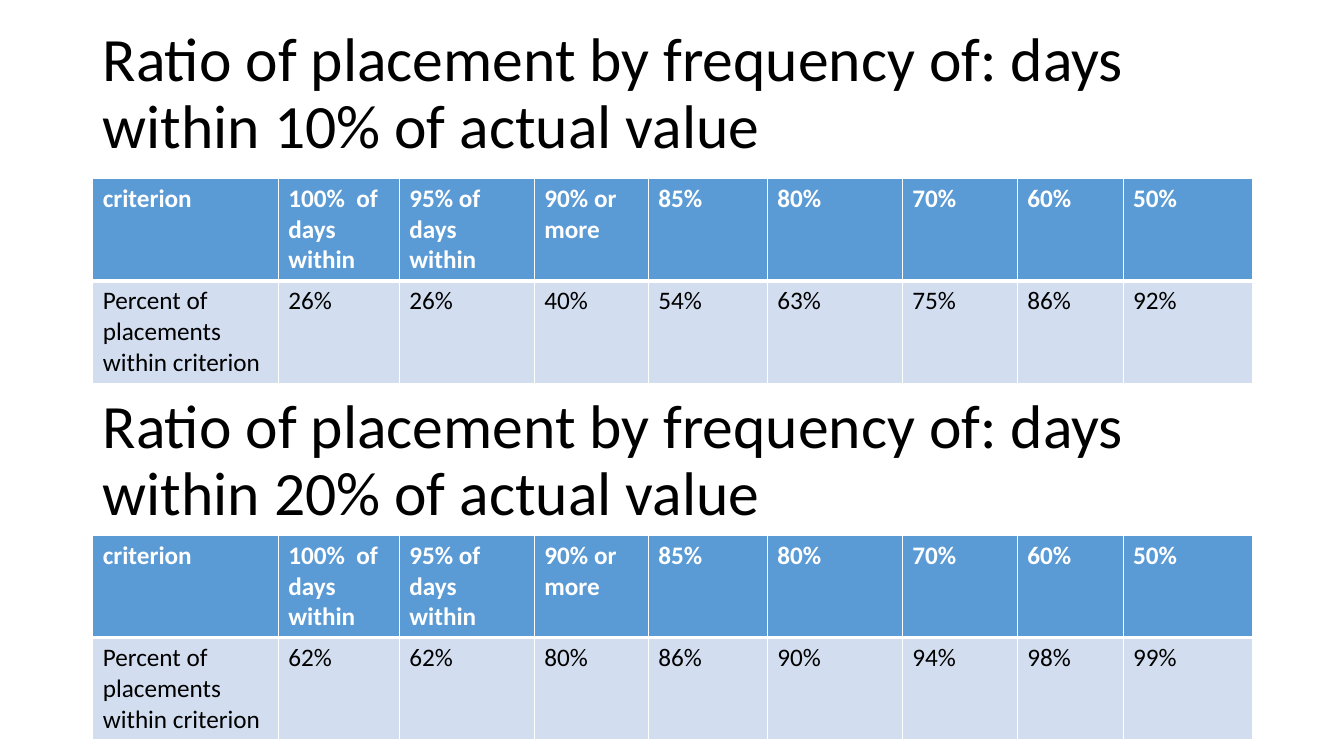
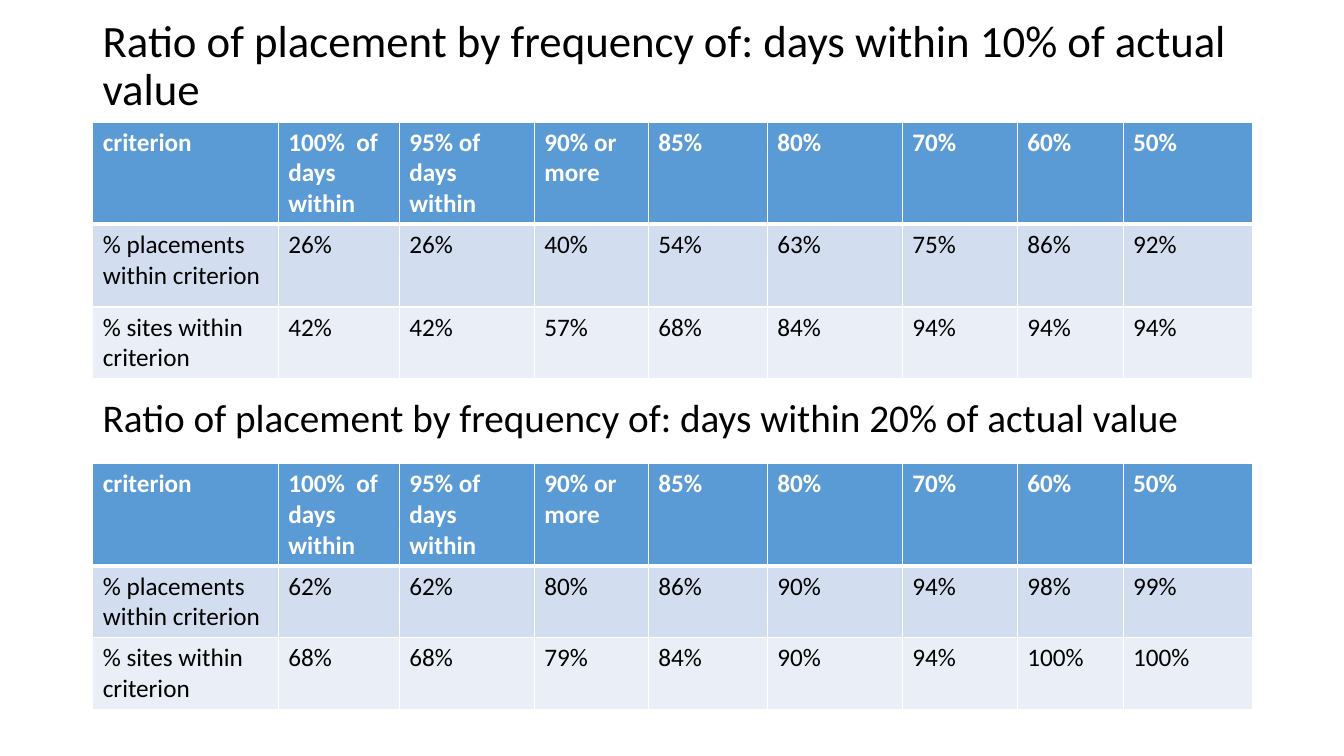
from dataclasses import dataclass

from lxml.etree import SubElement
from pptx import Presentation
from pptx.dml.color import RGBColor
from pptx.enum.text import MSO_ANCHOR as Anchor, MSO_AUTO_SIZE as AutoSize
from pptx.oxml.ns import qn
from pptx.util import Inches, Pt


@dataclass(frozen=True)
class Theme:
    font: str = "Calibri"
    ink: str = "000000"
    white: str = "FFFFFF"
    header: str = "5B9BD5"
    bands: tuple = ("D2DEEF", "EAEFF7")
    title_size: int = 44
    compact_title_size: int = 32
    small_title_size: int = 28
    cell_size: int = 18
    rule: int = 1
    header_rule: int = 3


THEME = Theme()
LEFT, WIDTH = 0.92, 11.5
COLUMN_WIDTHS = (1.84, 1.2, 1.34, 1.13, 1.18, 1.34, 1.14, 1.05, 1.28)
CRITERIA = ("criterion", "100%  of days within", "95% of days within", "90% or more",
            "85%", "80%", "70%", "60%", "50%")
PLACEMENTS = {10: (26, 26, 40, 54, 63, 75, 86, 92),
              20: (62, 62, 80, 86, 90, 94, 98, 99)}
SITES = {10: (42, 42, 57, 68, 84, 94, 94, 94),
         20: (68, 68, 79, 84, 90, 94, 100, 100)}


def write(frame, text, size=THEME.cell_size, color=THEME.ink, bold=False, spacing=None):
    paragraph = frame.paragraphs[0]
    paragraph.line_spacing = spacing
    run = paragraph.add_run()
    run.text = text
    run.font.name = THEME.font
    run.font.size = Pt(size)
    run.font.bold = bold
    run.font.color.rgb = RGBColor.from_string(color)


def add_title(slide, tolerance, top, height, size):
    box = slide.shapes.add_textbox(Inches(LEFT), Inches(top), Inches(WIDTH), Inches(height))
    frame = box.text_frame
    frame.word_wrap = True
    frame.auto_size = AutoSize.NONE
    frame.vertical_anchor = Anchor.MIDDLE
    write(frame, f"Ratio of placement by frequency of: days within {tolerance}% of actual value",
          size=size, spacing=0.9)


def set_borders(cell, top, bottom):
    properties = cell._tc.get_or_add_tcPr()
    for side, width in (("L", THEME.rule), ("R", THEME.rule), ("T", top), ("B", bottom)):
        line = SubElement(properties, qn(f"a:ln{side}"), w=str(Pt(width)))
        fill = SubElement(line, qn("a:solidFill"))
        SubElement(fill, qn("a:srgbClr"), val=THEME.white)


def add_ratio_table(slide, top, row_heights, series):
    rows = [CRITERIA] + [(label, *(f"{value}%" for value in values)) for label, values in series]
    table = slide.shapes.add_table(len(rows), len(CRITERIA), Inches(LEFT), Inches(top),
                                   Inches(WIDTH), Inches(sum(row_heights))).table
    table.horz_banding = False
    for column, width in zip(table.columns, COLUMN_WIDTHS):
        column.width = Inches(width)
    for index, (texts, height) in enumerate(zip(rows, row_heights)):
        table.rows[index].height = Inches(height)
        is_header = index == 0
        fill = THEME.header if is_header else THEME.bands[(index - 1) % 2]
        for cell, text in zip(table.rows[index].cells, texts):
            set_borders(cell, top=THEME.header_rule if index == 1 else THEME.rule,
                        bottom=THEME.header_rule if is_header else THEME.rule)
            cell.fill.solid()
            cell.fill.fore_color.rgb = RGBColor.from_string(fill)
            write(cell.text_frame, text, bold=is_header,
                  color=THEME.white if is_header else THEME.ink)


def add_placement_slide(deck):
    slide = deck.slides.add_slide(deck.slide_layouts[6])
    for tolerance, title_top, table_top in ((10, 0.22, 1.77), (20, 3.86, 5.31)):
        add_title(slide, tolerance, title_top, 1.45, THEME.title_size)
        add_ratio_table(slide, table_top, (1, 1),
                        [("Percent of placements within criterion", PLACEMENTS[tolerance])])


def add_site_slide(deck):
    slide = deck.slides.add_slide(deck.slide_layouts[6])
    sections = ((10, 0.22, 0.89, THEME.compact_title_size, 1.21, (1, 0.82, 0.7)),
                (20, 3.86, 0.61, THEME.small_title_size, 4.6, (1, 0.7, 0.7)))
    for tolerance, title_top, title_height, size, table_top, row_heights in sections:
        add_title(slide, tolerance, title_top, title_height, size)
        add_ratio_table(slide, table_top, row_heights,
                        [("% placements within criterion", PLACEMENTS[tolerance]),
                         ("% sites within criterion", SITES[tolerance])])


def main():
    deck = Presentation()
    deck.slide_width, deck.slide_height = Inches(13.33), Inches(7.5)
    add_placement_slide(deck)
    add_site_slide(deck)
    deck.save("out.pptx")


if __name__ == "__main__":
    main()
